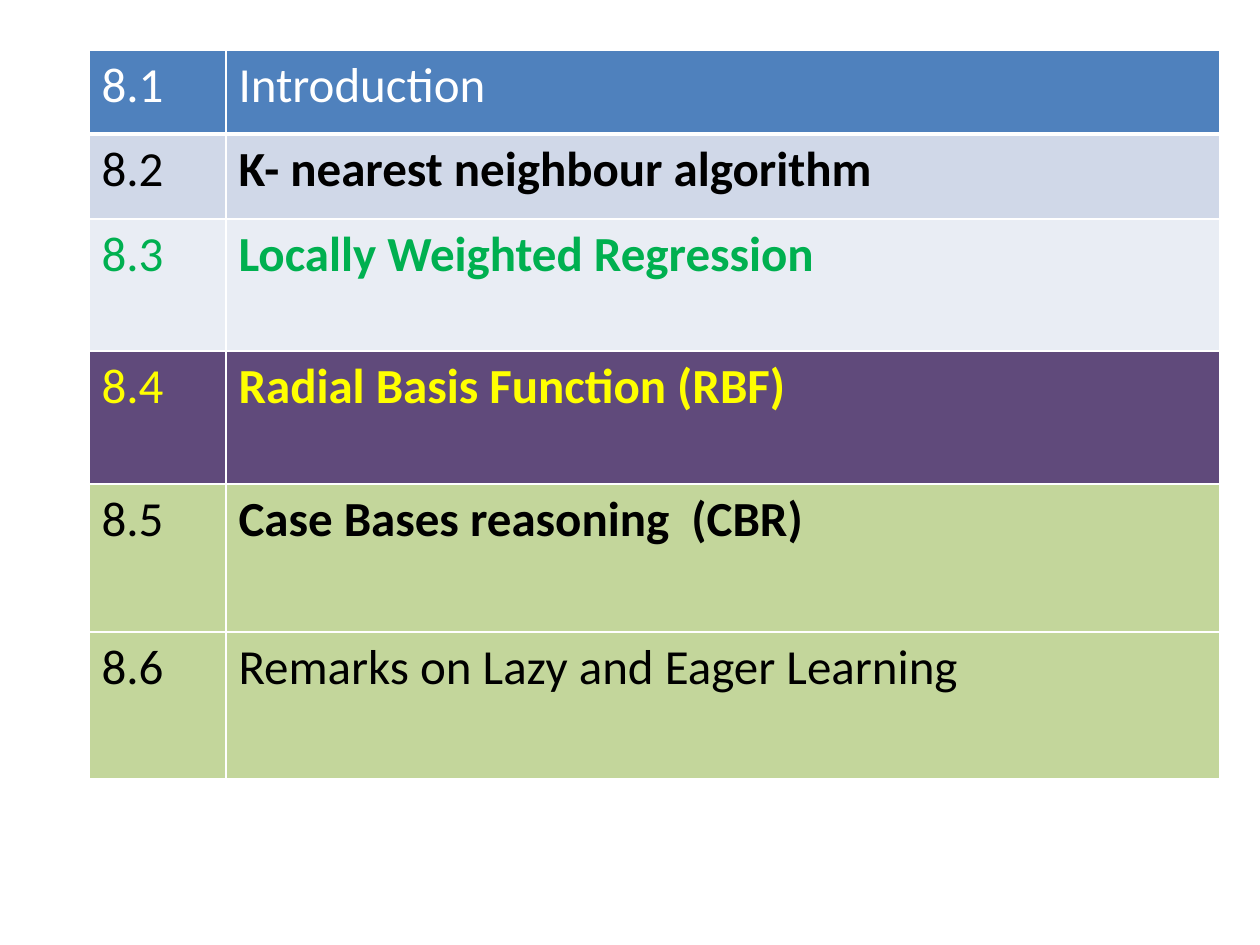
import pptx
import pptx.dml.color
import pptx.oxml.ns
import pptx.util
import lxml.etree

EMU_PER_PX = 914400 / 126
COLORS = {
    "white": "FFFFFF", "black": "000000", "green": "00B050", "yellow": "FFFF00",
    "blue": "4F81BD", "pale_blue": "D0D8E8", "paler_blue": "E9EDF4",
    "purple": "604A7B", "olive": "C3D69B",
}
COLUMN_WIDTHS = [137, 994]
TOPICS = [
    ("Introduction", False, "white", "blue", 84),
    ("K- nearest neighbour algorithm", True, "black", "pale_blue", 85),
    ("Locally Weighted Regression", True, "green", "paler_blue", 132),
    ("Radial Basis Function (RBF)", True, "yellow", "purple", 133),
    ("Case Bases reasoning  (CBR)", True, "black", "olive", 148),
    ("Remarks on Lazy and Eager Learning", False, "black", "olive", 147),
]


def px(length):
    """Turn pixels into EMU."""
    return pptx.util.Emu(round(length * EMU_PER_PX))


def rgb(color):
    """Look up a named colour."""
    return pptx.dml.color.RGBColor.from_string(COLORS[color])


def write_text(frame, text, color="black", bold=False, size=28, font="Calibri"):
    """Put one formatted run into a text frame."""
    run = frame.paragraphs[0].add_run()
    run.text = text
    run.font.name = font
    run.font.size = pptx.util.Pt(size)
    run.font.bold = bold
    run.font.color.rgb = rgb(color)


def add_borders(cell, color="white", bottom=1):
    """Draw solid lines on the four sides of a cell."""
    properties = cell._tc.get_or_add_tcPr()
    qn = pptx.oxml.ns.qn
    for side, points in (("lnL", 1), ("lnR", 1), ("lnT", 1), ("lnB", bottom)):
        line = lxml.etree.SubElement(properties, qn(f"a:{side}"), w=str(pptx.util.Pt(points)))
        solid = lxml.etree.SubElement(line, qn("a:solidFill"))
        lxml.etree.SubElement(solid, qn("a:srgbClr"), val=COLORS[color])


def add_contents_table(slide, left, top):
    """Add the numbered table of chapter topics."""
    height = sum(topic[-1] for topic in TOPICS)
    contents = slide.shapes.add_table(
        len(TOPICS), len(COLUMN_WIDTHS), px(left), px(top), px(sum(COLUMN_WIDTHS)), px(height)
    ).table
    for column, width in zip(contents.columns, COLUMN_WIDTHS):
        column.width = px(width)
    for index, (title, bold, color, fill, row_height) in enumerate(TOPICS):
        contents.rows[index].height = px(row_height)
        entries = [(f"8.{index + 1}", False), (title, bold)]
        for cell, (text, is_bold) in zip(contents.rows[index].cells, entries):
            add_borders(cell, bottom=3 if index == 0 else 1)
            cell.fill.solid()
            cell.fill.fore_color.rgb = rgb(fill)
            write_text(cell.text_frame, text, color=color, bold=is_bold)


def main():
    """Build and save the chapter contents slide."""
    deck = pptx.Presentation()
    deck.slide_width, deck.slide_height = px(1260), px(945)
    slide = deck.slides.add_slide(deck.slide_layouts[6])
    add_contents_table(slide, left=89, top=50)
    deck.save("out.pptx")


if __name__ == "__main__":
    main()
